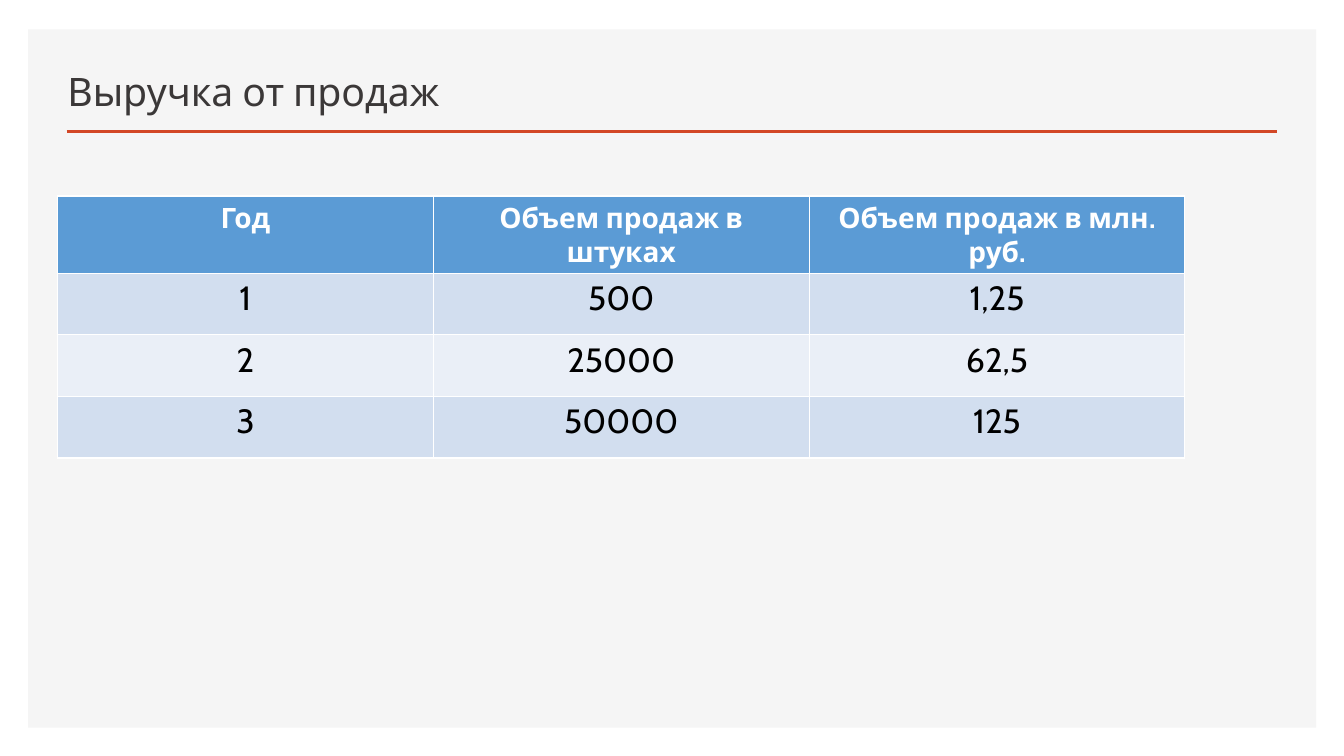
from pptx import Presentation
from pptx.dml.color import RGBColor
from pptx.enum.shapes import MSO_CONNECTOR, MSO_SHAPE
from pptx.enum.text import MSO_ANCHOR, PP_ALIGN
from pptx.oxml.ns import qn
from pptx.util import Cm, Pt
from lxml.etree import SubElement

TITLE = "Выручка от продаж"
SALES = [
    ("Год", "Объем продаж в штуках", "Объем продаж в млн. руб."),
    ("1", "500", "1,25"),
    ("2", "25000", "62,5"),
    ("3", "50000", "125"),
]
FONT = "Cabin"
HEADER_FILL = "5B9BD5"
BAND_FILLS = ("EAEFF7", "D2DEEF")
LEFT = 1.45
COLUMN_WIDTH, ROW_HEIGHT = 9.47, 1.55


def color(value):
    return RGBColor.from_string(value)


def style(para, size, tone, bold=False):
    para.font.name = FONT
    para.font.size = Pt(size)
    para.font.bold = bold
    para.font.color.rgb = color(tone)


def add_panel(page):
    panel = page.shapes.add_shape(
        MSO_SHAPE.RECTANGLE, Cm(0.71), Cm(0.74), Cm(32.46), Cm(17.6))
    panel.shadow.inherit = False
    panel.fill.solid()
    panel.fill.fore_color.rgb = color("F5F5F5")
    panel.line.fill.background()


def add_rule(page):
    rule = page.shapes.add_connector(
        MSO_CONNECTOR.STRAIGHT, Cm(1.68), Cm(3.32), Cm(32.18), Cm(3.32))
    rule.line.color.rgb = color("D24726")
    rule.line.width = Pt(2)
    SubElement(rule.element.spPr, qn("a:effectLst"))


def add_title(page):
    box = page.shapes.add_textbox(Cm(LEFT), Cm(1.24), Cm(19.1), Cm(1.78))
    frame = box.text_frame
    frame.word_wrap = True
    frame.vertical_anchor = MSO_ANCHOR.BOTTOM
    para = frame.paragraphs[0]
    para.text = TITLE
    style(para, 28, "3B3838")


def add_sales_table(page):
    rows, columns = len(SALES), len(SALES[0])
    table = page.shapes.add_table(
        rows, columns, Cm(LEFT), Cm(4.94),
        Cm(columns * COLUMN_WIDTH), Cm(rows * ROW_HEIGHT)).table
    for row, values in enumerate(SALES):
        header = row == 0
        for column, value in enumerate(values):
            cell = table.cell(row, column)
            cell.fill.solid()
            cell.fill.fore_color.rgb = color(
                HEADER_FILL if header else BAND_FILLS[row % 2])
            para = cell.text_frame.paragraphs[0]
            para.text = value
            para.alignment = PP_ALIGN.CENTER
            if header:
                style(para, 20, "FFFFFF", bold=True)
            else:
                style(para, 24, "000000")


def main():
    deck = Presentation()
    deck.slide_width, deck.slide_height = Cm(33.87), Cm(19.05)
    page = deck.slides.add_slide(deck.slide_layouts[6])
    add_panel(page)
    add_rule(page)
    add_title(page)
    add_sales_table(page)
    deck.save("out.pptx")


if __name__ == "__main__":
    main()
